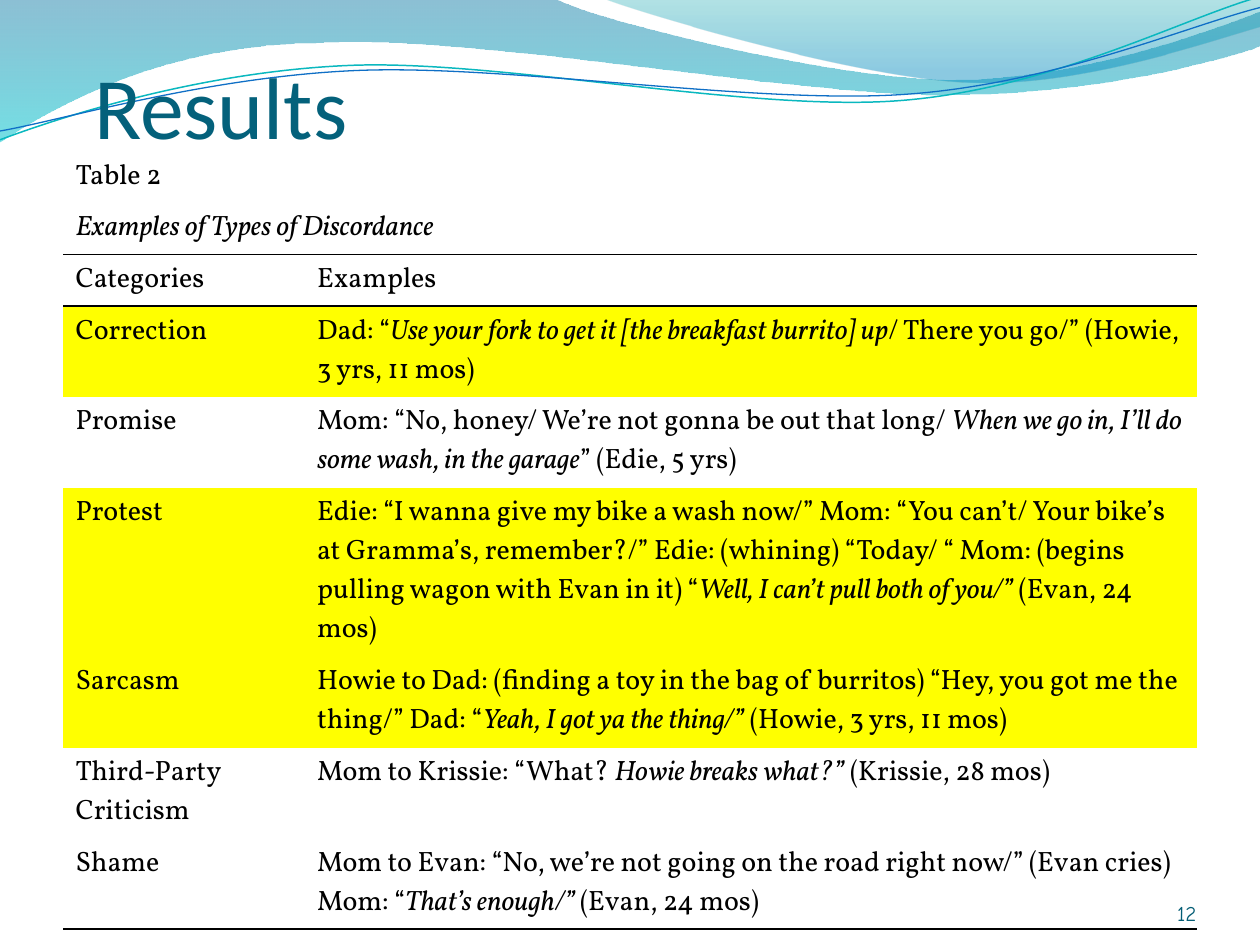
from lxml import etree
from pptx import Presentation
from pptx.dml.color import RGBColor as Rgb
from pptx.enum.text import MSO_ANCHOR as Anchor, PP_ALIGN as Align
from pptx.oxml import parse_xml
from pptx.oxml.ns import nsdecls, qn
from pptx.util import Cm, Pt

WIDE, HIGH = 25.4, 19.05

# Waves: points in percent of the box width; six numbers make a curve, two a line
BANDS = [
    ([(0, -.1), (44, -.1), (47.6, 1.7, 66.4, 6.3, 75.8, 6.3),
      (85.3, 6.3, 95.8, 2.6, 100, .9), (100.1, 3.6),
      (98.3, 4.4, 87, 7.6, 74.6, 7.5), (62.2, 7.5, 38.2, 2.8, 25.7, 3.4),
      (12.9, 3.5, 4.6, 8.3, -.1, 11.3)],
     [(0, "0074A1", 45), (1, "00C6CF", 55)]),
    ([(47.9, -.1), (50.9, 1.1, 68.2, 6.2, 76.9, 6.5),
      (85.6, 6.9, 96.1, 3.2, 100, 2.1), (100, 0)],
     [(0, "00A1A9", 30), (.8, "008BBF", 45)]),
]
LINES = [
    ([(0, 11.1), (4.8, 9.3, 15.8, 5.7, 27.7, 5.2),
      (39.5, 4.7, 59.3, 8.9, 71.3, 8), (83.3, 7.1, 93.8, 1.5, 99.8, -.2)],
     "0AB8BF", .85),
    ([(0, 10.4), (4.7, 9.6, 16.4, 6.1, 28.3, 5.6),
      (40.3, 5.1, 59.7, 8.3, 71.7, 7.5), (83.6, 6.7, 94.1, 2.1, 100, .6)],
     "0F6FC6", .75),
]

# Table rows: label, example with *italics*, marked in yellow, lines of text
HEADS = ["Table 2", "*Examples of Types of Discordance*"]
ROWS = [
    ("Categories", "Examples", False, 1),
    ("Correction", "Dad: “*Use your fork to get it [the breakfast burrito] up*"
     "/ There you go/” (Howie, 3 yrs, 11 mos)", True, 2),
    ("Promise", "Mom: “No, honey/ We’re not gonna be out that long/* When we "
     "go in, I’ll do some wash, in the garage*” (Edie, 5 yrs)", False, 2),
    ("Protest", "Edie: “I wanna give my bike a wash now/” Mom: “You can’t/ "
     "Your bike’s at Gramma’s, remember?/” Edie: (whining) “Today/ “ Mom: "
     "(begins pulling wagon with Evan in it) “*Well, I can’t pull both of "
     "you/”* (Evan, 24 mos)", True, 4),
    ("Sarcasm", "Howie to Dad: (finding a toy in the bag of burritos) “Hey, "
     "you got me the thing/” Dad: “*Yeah, I got ya the thing/”* "
     "(Howie, 3 yrs, 11 mos)", True, 2),
    ("Third-Party Criticism", "Mom to Krissie: “What? *Howie breaks what?”* "
     "(Krissie, 28 mos)", False, 2),
    ("Shame", "Mom to Evan: “No, we’re not going on the road right now/” "
     "(Evan cries) Mom: “*That’s enough/” *(Evan, 24 mos)", False, 2),
]


def tint(color, code):
    color.rgb = Rgb.from_string(code)


def style(run, size, face, code):
    run.font.size, run.font.name = Pt(size), face
    tint(run.font.color, code)


def draw(slide, box, parts, close):
    left, top, width = box
    dots = [(Cm(part[i] * width / 100), Cm(part[i + 1] * width / 100))
            for part in parts for i in range(0, len(part), 2)]
    pen = slide.shapes.build_freeform(*dots[0])
    pen.add_line_segments(dots[1:], close=close)
    shape = pen.convert_to_shape(Cm(left), Cm(top))
    shape.shadow.inherit = False
    # Join each three points of a curve into one Bezier segment
    legs = iter(list(shape.element.iter(qn("a:lnTo"))))
    for part in parts[1:]:
        leg = next(legs)
        if len(part) == 6:
            curve = etree.Element(qn("a:cubicBezTo"))
            leg.addprevious(curve)
            for piece in (leg, next(legs), next(legs)):
                curve.append(piece[0])
                piece.getparent().remove(piece)
    return shape


def add_waves(slide, box):
    for parts, stops in BANDS:
        band = draw(slide, box, parts, True)
        band.line.fill.background()
        band.fill.gradient()
        band.fill.gradient_angle = 270
        for stop, (place, code, _) in zip(band.fill.gradient_stops, stops):
            stop.position = place
            tint(stop.color, code)
        marks = band.element.spPr.iter(qn("a:gs"))
        for mark, (_, _, alpha) in zip(marks, stops):
            mark[0].append(parse_xml(
                f'<a:alpha {nsdecls("a")} val="{alpha * 1000}"/>'))
    for parts, code, weight in LINES:
        line = draw(slide, box, parts, False)
        line.fill.background()
        tint(line.line.color, code)
        line.line.width = Pt(weight)


def add_label(slide, box, text, size, face, code, align):
    frame = slide.shapes.add_textbox(*map(Cm, box)).text_frame
    frame.word_wrap = True
    frame.vertical_anchor = Anchor.BOTTOM
    frame.margin_left = frame.margin_right = 0
    frame.margin_top = frame.margin_bottom = 0
    frame.text = text
    frame.paragraphs[0].alignment = align
    style(frame.paragraphs[0].runs[0], size, face, code)


def fill_cell(cell, text, edges, marked):
    para = cell.text_frame.paragraphs[0]
    for spot, part in enumerate(text.split("*")):
        if part:
            run = para.add_run()
            run.text = part
            run.font.italic = spot % 2 == 1
            style(run, 16, "Vollkorn", "000000")
    props = cell._tc.get_or_add_tcPr()
    ink = '<a:solidFill><a:srgbClr val="000000"/></a:solidFill>'
    for edge in ("lnL", "lnR", "lnT", "lnB"):
        props.append(parse_xml(
            f'<a:{edge} {nsdecls("a")} w="12700">'
            f'{ink if edge in edges else "<a:noFill/>"}</a:{edge}>'))
    if marked:
        cell.fill.solid()
        tint(cell.fill.fore_color, "FFFF00")
    else:
        cell.fill.background()


def add_grid(slide, box):
    left, top, width = box
    rows = [(head, "", False, 1) for head in HEADS] + ROWS
    count = len(rows)
    highs = [.25 + .79 * row[3] for row in rows]
    table = slide.shapes.add_table(
        count, 2, Cm(left), Cm(top), Cm(width), Cm(sum(highs))).table
    table.first_row = table.horz_banding = False
    table._tbl.tblPr.find(qn("a:tableStyleId")).text = \
        "{2D5ABB26-0587-4C30-8999-92F81FD0307C}"
    first = 4.87
    table.columns[0].width, table.columns[1].width = Cm(first), Cm(width - first)
    ruled = {len(HEADS) - 1, len(HEADS), count - 1}  # rows with a line below
    for index, (label, sample, marked, _) in enumerate(rows):
        table.rows[index].height = Cm(highs[index])
        edges = [edge for edge, row in (("lnT", index - 1), ("lnB", index))
                 if row in ruled]
        for cell, text in zip(table.rows[index].cells, (label, sample)):
            fill_cell(cell, text, edges, marked)
        if index < len(HEADS):
            table.cell(index, 0).merge(table.cell(index, 1))


deck = Presentation()
deck.slide_width, deck.slide_height = Cm(WIDE), Cm(HIGH)
page = deck.slides.add_slide(deck.slide_layouts[6])
add_waves(page, (0, 0, WIDE))
add_label(page, (1.9, .43, 19.08, 2.74), "Results", 50, "Calibri", "04617B",
          Align.LEFT)
add_label(page, (22.02, 17.65, 2.1, 1.02), "12", 12, "Comic Neue", "045D75",
          Align.RIGHT)
add_grid(page, (1.27, 3.05, 22.86))
deck.save("out.pptx")
